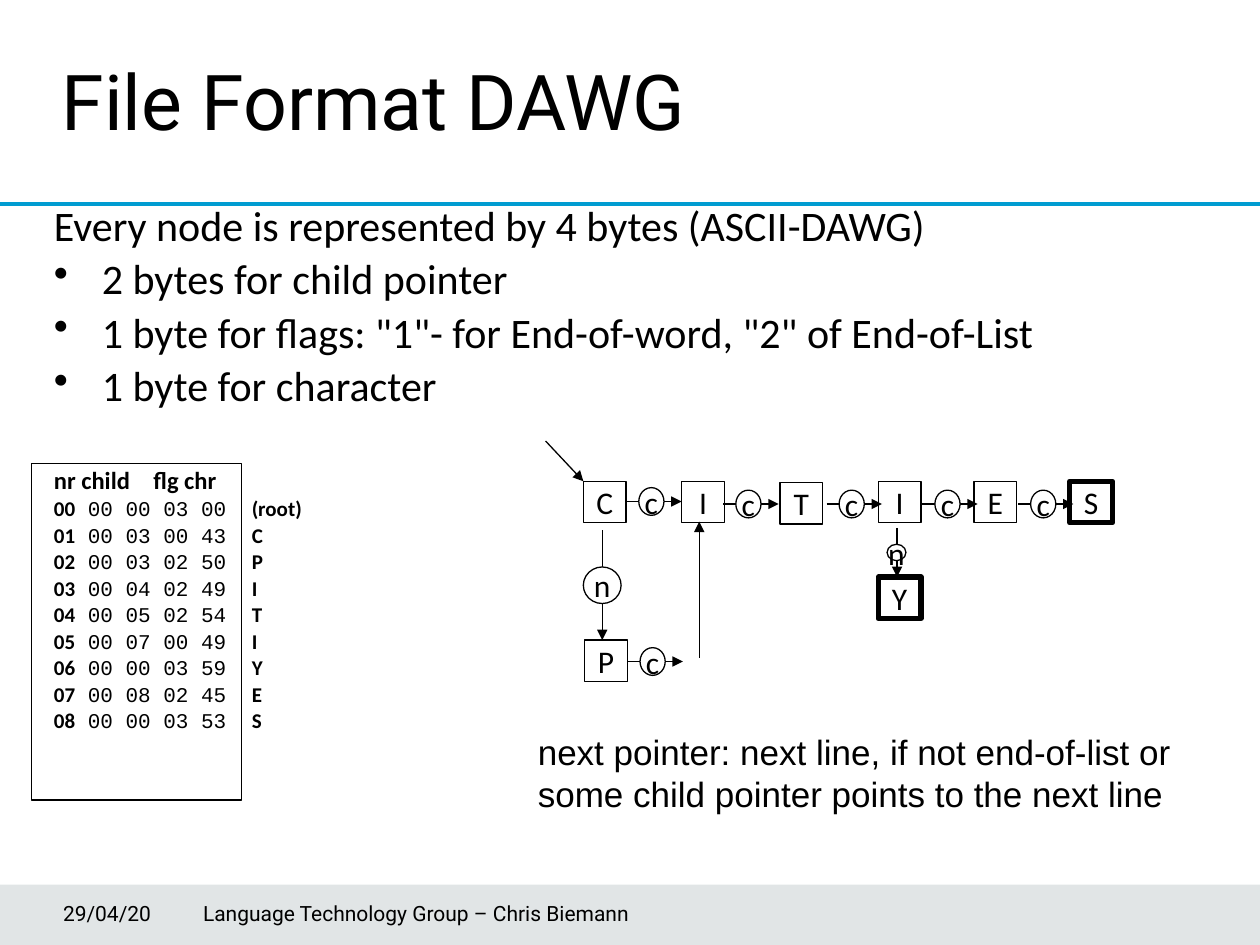
import pptx
import pptx.dml.color
import pptx.enum.shapes
import pptx.enum.text
import pptx.oxml.ns
import pptx.util
from lxml import etree

PX = 9144
RECT = pptx.enum.shapes.MSO_SHAPE.RECTANGLE
OVAL = pptx.enum.shapes.MSO_SHAPE.OVAL
MID = pptx.enum.text.MSO_ANCHOR.MIDDLE
TOP = pptx.enum.text.MSO_ANCHOR.TOP
BLACK, WHITE, BLUE, SLATE = "000000", "FFFFFF", "009CD1", "3B515B"
POINTS = ["2 bytes for child pointer",
          '1 byte for flags: "1"- for End-of-word, "2" of End-of-List',
          "1 byte for character"]
ROWS = [("00 00 03 00", "(root)"), ("00 03 00 43", "C"), ("00 03 02 50", "P"),
        ("00 04 02 49", "I"), ("00 05 02 54", "T"), ("00 07 00 49", "I"),
        ("00 00 03 59", "Y"), ("00 08 02 45", "E"), ("00 00 03 53", "S")]
NODES = [("C", 463, 382, 0.75), ("I", 541, 382, 0.75), ("T", 619, 383, 0.75),
         ("I", 697, 382, 0.75), ("E", 773, 382, 0.75), ("S", 849, 382, 3),
         ("Y", 697, 458, 3), ("P", 464, 508, 0.75)]
NEXT = [(497, 398), (574, 400), (656, 400), (732, 400), (808, 400), (498, 525)]
DOWN = [(478, 421, 508, (463, 450, 30, 29)), (712, 419, 458, (704, 432, 15, 13))]


def color(code):
    """Turn a hex string into a colour."""
    return pptx.dml.color.RGBColor.from_string(code)


def sub(node, tag, **attrs):
    """Append a DrawingML child element."""
    return etree.SubElement(node, pptx.oxml.ns.qn(tag), attrs)


def style(run, size, face, bold=False):
    """Format one run."""
    run.font.size = pptx.util.Pt(size)
    run.font.name = face
    run.font.bold = bold
    run.font.color.rgb = color(BLACK)


def label(slide, text, box, size, face, anchor=TOP, left=10):
    """Add a wrapped text box and return its frame."""
    frame = slide.shapes.add_textbox(*(v * PX for v in box)).text_frame
    frame.word_wrap = True
    frame.vertical_anchor = anchor
    frame.margin_left = left * PX
    frame.text = text
    style(frame.paragraphs[0].runs[0], size, face)
    return frame


def shape(slide, kind, box, fill=WHITE, width=0.75, text=""):
    """Add a plain or lettered shape."""
    item = slide.shapes.add_shape(kind, *(v * PX for v in box))
    item.shadow.inherit = False
    if fill:
        item.fill.solid()
        item.fill.fore_color.rgb = color(fill)
    else:
        item.fill.background()
    if width:
        item.line.color.rgb = color(BLACK)
        item.line.width = pptx.util.Pt(width)
    else:
        item.line.fill.background()
    if text:
        frame = item.text_frame
        frame.word_wrap = False
        frame.vertical_anchor = MID
        frame.text = text
        frame.paragraphs[0].alignment = pptx.enum.text.PP_ALIGN.CENTER
        style(frame.paragraphs[0].runs[0], 18, "Calibri")
    return item


def line(slide, ends, code=BLACK, width=0.75, head=True):
    """Add a straight line, with an arrowhead if asked."""
    kind = pptx.enum.shapes.MSO_CONNECTOR.STRAIGHT
    item = slide.shapes.add_connector(kind, *(v * PX for v in ends))
    item.line.color.rgb = color(code)
    item.line.width = pptx.util.Pt(width)
    if head:
        sub(item.line._get_or_add_ln(), "a:tailEnd", type="triangle")
    sub(item._element.spPr, "a:effectLst")


def space(para, gap):
    """Set the line spacing and the gap above."""
    para.line_spacing = 0.9
    para.space_before = pptx.util.Pt(gap)


def tab(para, pos):
    """Give a paragraph one left tab stop."""
    tabs = sub(para._p.get_or_add_pPr(), "a:tabLst")
    sub(tabs, "a:tab", pos=str(pos * PX), algn="l")


def bullet(frame, text):
    """Add a bulleted paragraph."""
    para = frame.add_paragraph()
    para.text = text
    style(para.runs[0], 24, "Calibri")
    space(para, 4.5)
    props = para._p.get_or_add_pPr()
    props.set("marL", str(38 * PX))
    props.set("indent", str(-38 * PX))
    sub(props, "a:buChar", char="•")


def record(frame, num, code, name):
    """Add one line of the node listing."""
    para = frame.add_paragraph()
    space(para, 2.2)
    tab(para, 157)
    parts = [(f"{num:02d}", "Calibri", True), (f" {code}", "Courier New", False),
             (f"\t{name}", "Calibri", True)]
    for text, face, bold in parts:
        run = para.add_run()
        run.text = text
        style(run, 12, face, bold)


def body(slide):
    """Write the bullets and the node listing."""
    text = "Every node is represented by 4 bytes (ASCII-DAWG)"
    frame = label(slide, text, (33, 158, 917, 542), 24, "Calibri")
    space(frame.paragraphs[0], 0)
    for point in POINTS:
        bullet(frame, point)
    head = frame.add_paragraph()
    head.text = "nr child\tflg chr"
    style(head.runs[0], 14, "Calibri", True)
    space(head, 33)
    tab(head, 79)
    for num, (code, name) in enumerate(ROWS):
        record(frame, num, code, name)


def graph(slide):
    """Draw the nodes and their pointers."""
    for text, left, top, width in NODES:
        shape(slide, RECT, (left, top, 34, 33), width=width, text=text)
    for left, mid in NEXT:
        line(slide, (left, mid, left + 44, mid))
        shape(slide, OVAL, (left + 10, mid - 11, 20, 22), text="c")
    for mid, top, end, ring in DOWN:
        line(slide, (mid, top, mid, end))
        shape(slide, OVAL, ring, text="n")
    line(slide, (433, 350, 463, 382))
    line(slide, (555, 522, 555, 414))


def main():
    """Build and save the slide."""
    deck = pptx.Presentation()
    deck.slide_width, deck.slide_height = 1000 * PX, 750 * PX
    slide = deck.slides.add_slide(deck.slide_layouts[6])
    band = shape(slide, RECT, (0, 702, 1000, 48), SLATE, 0)
    tint = band._element.spPr.find(".//" + pptx.oxml.ns.qn("a:srgbClr"))
    sub(tint, "a:alpha", val="15000")
    line(slide, (0, 162, 1000, 162), BLUE, 2, False)
    label(slide, "File Format DAWG", (39, 33, 752, 92), 44, "Roboto", MID)
    body(slide)
    graph(slide)
    note = ("next pointer: next line, if not end-of-list or "
            "some child pointer points to the next line")
    label(slide, note, (417, 575, 533, 77), 20, "Arial")
    shape(slide, RECT, (25, 368, 167, 267), None)
    label(slide, "29/04/20", (50, 705, 99, 40), 12, "Roboto", MID, 0)
    group = " Language Technology Group – Chris Biemann"
    label(slide, group, (157, 705, 495, 40), 12, "Roboto", MID, 0)
    deck.save("out.pptx")


if __name__ == "__main__":
    main()
